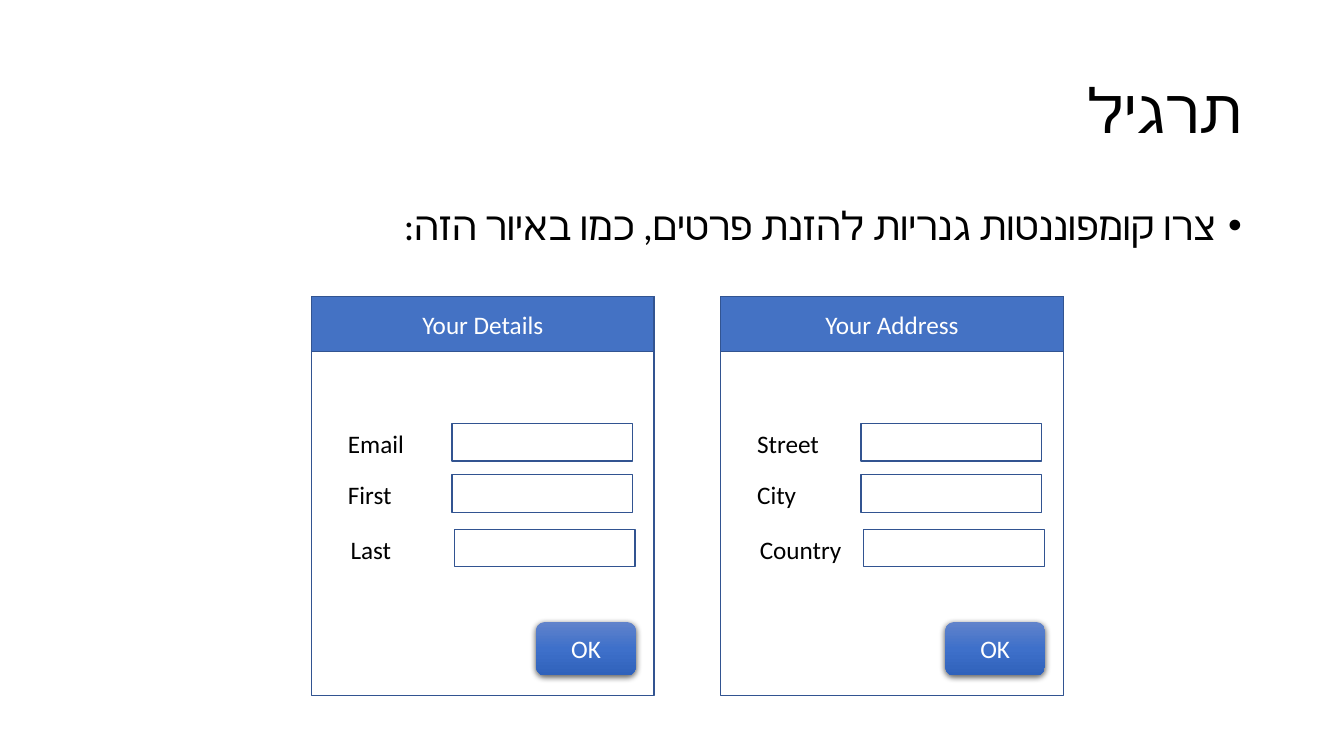
from copy import deepcopy

from lxml.etree import SubElement
from pptx import Presentation
from pptx.dml.color import RGBColor
from pptx.enum.shapes import MSO_SHAPE
from pptx.enum.text import MSO_ANCHOR, PP_ALIGN
from pptx.oxml.ns import qn
from pptx.util import Pt

FONT = "Calibri"
BLACK, WHITE, BLUE, EDGE = "000000", "FFFFFF", "4472C4", "325491"
BUTTON_STOPS = [(0, "6183CB"), (0.5, "3E70CA"), (1, "3062BB")]
CARD_SIZE = (244.8, 285.12)
CARDS = [
    (222.5, "Your Details", ["Email", "First", "Last"]),
    (514.8, "Your Address", ["Street", "City", "Country"]),
]
# Offsets of each field row from the card's corner
FIELD_ROWS = [(18.9, 90.7), (18.9, 127.4), (20.8, 166.3)]


def color(value):
    """Turn a hex string into a colour."""
    return RGBColor.from_string(value)


def write(shape, text, size=18, ink=BLACK, rtl=False, anchor=MSO_ANCHOR.TOP, **formats):
    """Put one styled paragraph in a shape and return it."""
    frame = shape.text_frame
    frame.word_wrap = True
    frame.vertical_anchor = anchor
    para = frame.paragraphs[0]
    for name, value in formats.items():
        setattr(para, name, value)
    if rtl:
        para._p.get_or_add_pPr().set("rtl", "1")
    span = para.add_run()
    span.text = text
    for name, value in {"name": FONT, "size": Pt(size)}.items():
        setattr(span.font, name, value)
    span.font.color.rgb = color(ink)
    SubElement(span._r.get_or_add_rPr(), qn("a:cs"), typeface=FONT)
    return para


def add_text(page, box, text, **formats):
    """Add a text box and return its paragraph."""
    return write(page.shapes.add_textbox(*map(Pt, box)), text, **formats)


def add_panel(page, box, fill=WHITE):
    """Add an outlined rectangle without shadow."""
    panel = page.shapes.add_shape(MSO_SHAPE.RECTANGLE, *map(Pt, box))
    panel.shadow.inherit = False
    panel.fill.solid()
    panel.fill.fore_color.rgb = color(fill)
    panel.line.color.rgb = color(EDGE)
    panel.line.width = Pt(1)
    return panel


def add_button(page, box, text):
    """Add a rounded button with a gradient and a soft shadow."""
    button = page.shapes.add_shape(MSO_SHAPE.ROUNDED_RECTANGLE, *map(Pt, box))
    button.line.fill.background()
    button.fill.gradient()
    button.fill.gradient_angle = 270
    properties = button._element.spPr
    stop_list = properties.find(".//" + qn("a:gsLst"))
    stop_list.append(deepcopy(stop_list[0]))
    for stop, (position, value) in zip(button.fill.gradient_stops, BUTTON_STOPS):
        stop.position = position
        stop.color.rgb = color(value)

    button.shadow.inherit = False
    shadow = SubElement(
        properties.find(qn("a:effectLst")), qn("a:outerShdw"),
        blurRad=str(Pt(4.5)), dist=str(Pt(1.5)), dir="5400000",
        algn="ctr", rotWithShape="0")
    tint = SubElement(shadow, qn("a:srgbClr"), val=BLACK)
    SubElement(tint, qn("a:alpha"), val="63000")
    write(button, text, ink=WHITE, rtl=True, anchor=MSO_ANCHOR.MIDDLE,
          alignment=PP_ALIGN.CENTER)


def add_heading(page, box):
    """Add the exercise title and its bulleted instruction."""
    left, top, width = box
    style = {"rtl": True, "alignment": PP_ALIGN.RIGHT, "line_spacing": 0.9}
    add_text(page, (left, top, width, 104.4), "תרגיל", size=44,
             anchor=MSO_ANCHOR.MIDDLE, **style)
    para = add_text(page, (left, top + 115.2, width, 67.7),
                    "צרו קומפוננטות גנריות להזנת פרטים, כמו באיור הזה:",
                    size=28, space_before=Pt(10), **style)
    settings = para._p.get_or_add_pPr()
    settings.set("marL", str(Pt(18)))
    settings.set("indent", str(-Pt(18)))
    SubElement(settings, qn("a:buFont"), typeface="Arial")
    SubElement(settings, qn("a:buChar"), char="•")


def add_card(page, box, title, labels):
    """Add a form card: header, labelled fields and an OK button."""
    left, top, width, height = box
    add_panel(page, box)
    header = add_panel(page, (left, top, width, 39.6), BLUE)
    write(header, title, ink=WHITE, rtl=True, anchor=MSO_ANCHOR.MIDDLE,
          alignment=PP_ALIGN.CENTER)
    for label, (across, down) in zip(labels, FIELD_ROWS):
        add_text(page, (left + across, top + down, 82, 28.8), label)
        add_panel(page, (left + across + 81.4, top + down, 129, 26.8))
    add_button(page, (left + 160.4, top + 232.6, 71.3, 38.2), "OK")


deck = Presentation()
deck.slide_width, deck.slide_height = Pt(960), Pt(540)
page = deck.slides.add_slide(deck.slide_layouts[6])
add_heading(page, (66, 28.8, 828))
for card_left, card_title, card_labels in CARDS:
    add_card(page, (card_left, 211.7, *CARD_SIZE), card_title, card_labels)
deck.save("out.pptx")
